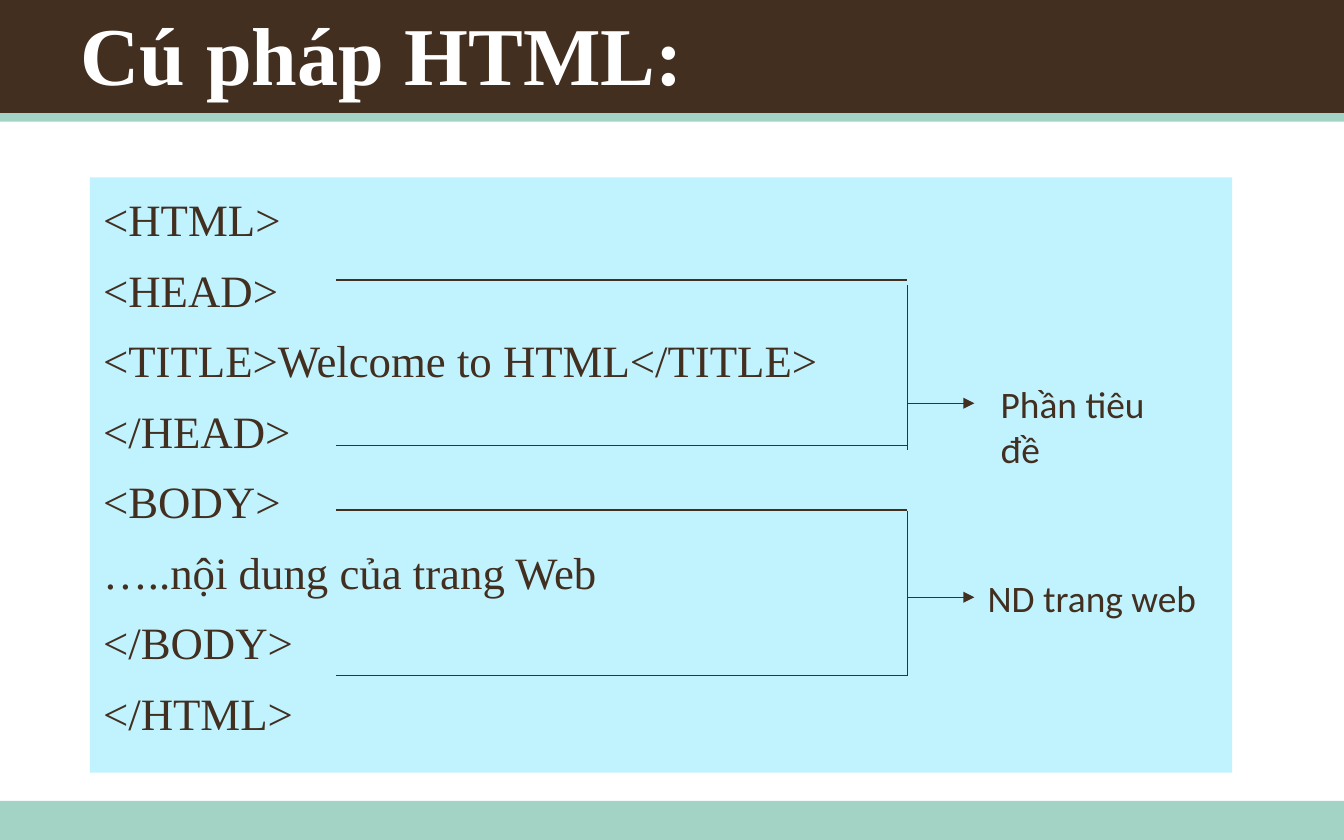
"""Build the slide on HTML syntax with its two bracketed parts."""
from lxml import etree
from pptx import Presentation
from pptx.dml.color import RGBColor
from pptx.enum.shapes import MSO_CONNECTOR, MSO_SHAPE
from pptx.enum.text import MSO_ANCHOR, MSO_AUTO_SIZE, PP_ALIGN
from pptx.oxml.ns import qn
from pptx.util import Pt

BROWN = RGBColor(0x42, 0x2F, 0x20)
MINT = RGBColor(0xA3, 0xD3, 0xC5)
SKY = RGBColor(0xC1, 0xF3, 0xFF)
WHITE = RGBColor(0xFF, 0xFF, 0xFF)
SERIF, SANS = "Times New Roman", "Calibri"
RECT, LINE = MSO_SHAPE.RECTANGLE, MSO_CONNECTOR.STRAIGHT
LEFT, JUST = PP_ALIGN.LEFT, PP_ALIGN.JUSTIFY
TOP, MIDDLE = MSO_ANCHOR.TOP, MSO_ANCHOR.MIDDLE
FIXED = MSO_AUTO_SIZE.NONE


def write(shape, text, font=SERIF, size=24, color=BROWN, bold=False,
          align=LEFT, anchor=TOP, pitch=None, before=0):
    frame = shape.text_frame
    frame.word_wrap = True
    frame.auto_size = FIXED
    frame.vertical_anchor = anchor
    frame.text = text
    for para in frame.paragraphs:
        para.alignment = align
        para.line_spacing = pitch
        para.space_before = Pt(before)
        face = para.runs[0].font
        face.name, face.size, face.bold = font, Pt(size), bold
        face.color.rgb = color


def draw(x1, y1, x2, y2, arrow=False):
    line = slide.shapes.add_connector(LINE, Pt(x1), Pt(y1), Pt(x2), Pt(y2))
    line.line.color.rgb = BROWN
    line.line.width = Pt(0.75)
    if arrow:
        etree.SubElement(line.line._get_or_add_ln(), qn("a:tailEnd"), type="triangle")
    etree.SubElement(line._element.spPr, qn("a:effectLst"))


deck = Presentation()
deck.slide_width, deck.slide_height = Pt(720), Pt(450)
slide = deck.slides.add_slide(deck.slide_layouts[5])

panels = []
for x, y, wide, high, color in [
    (0, 59.8, 720, 5.4, MINT),
    (0, -1.4, 720, 61.9, BROWN),
    (0, 429, 720, 22.3, MINT),
    (48.2, 95, 612, 319, SKY),
]:
    panel = slide.shapes.add_shape(RECT, Pt(x), Pt(y), Pt(wide), Pt(high))
    panel.shadow.inherit = False
    panel.fill.solid()
    panel.fill.fore_color.rgb = color
    panel.line.fill.background()
    panels.append(panel)

title = slide.shapes.title
title.left, title.top, title.width, title.height = Pt(36), Pt(-9.4), Pt(648), Pt(75)
write(title, "Cú pháp HTML:", size=44, color=WHITE, bold=True, anchor=MIDDLE)
slide.shapes._spTree.append(title._element)

code = [
    "<HTML>",
    "<HEAD>",
    "<TITLE>Welcome to HTML</TITLE>",
    "</HEAD>",
    "<BODY>",
    "…..nội dung của trang Web",
    "</BODY>",
    "</HTML>",
]
write(panels[-1], "\n".join(code), align=JUST, pitch=Pt(33), before=4.8)

start, edge, tip = 180, 486, 522
for upper, lower, top, base, mid, label, x, wide in [
    (150, 238.8, 152.6, 241.2, 216, "Phần tiêu đề", 529, 113.8),
    (273.2, 362, 273.6, 362, 320, "ND trang web", 522, 131.8),
]:
    draw(start, upper, edge, upper)
    draw(start, lower, edge, lower)
    draw(edge, top, edge, base)
    draw(edge, mid, tip, mid, arrow=True)
    box = slide.shapes.add_textbox(Pt(x), Pt(mid - 15.2), Pt(wide), Pt(31))
    write(box, label, font=SANS, size=20, before=10)

deck.save("out.pptx")
